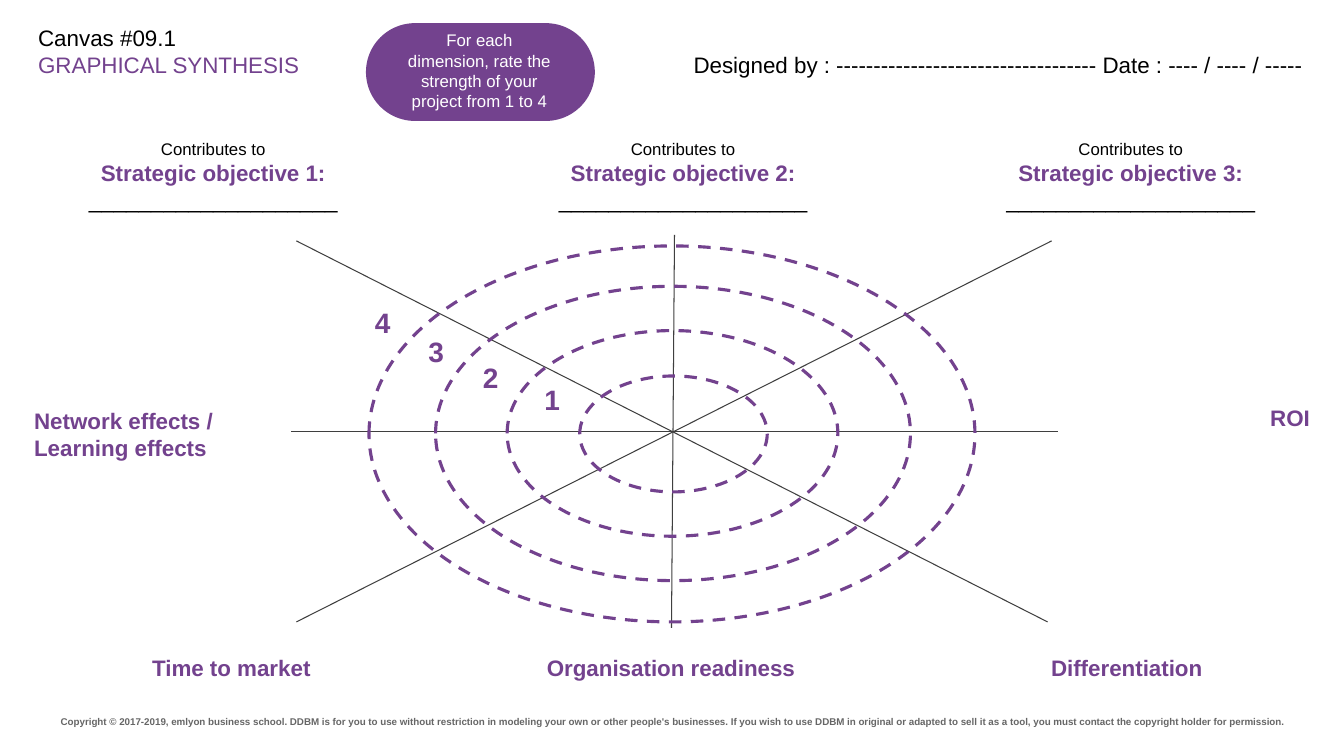
from dataclasses import dataclass

from lxml import etree
from pptx import Presentation, util as u
from pptx.dml.color import RGBColor
from pptx.enum import dml, shapes, text
from pptx.oxml.ns import qn

EMU_PER_PX = 9144  # 100 px to the inch


@dataclass(frozen=True)
class Theme:
    font: str = "Arial"
    purple: str = "73428E"
    black: str = "000000"
    white: str = "FFFFFF"
    spoke: str = "3F3F3F"
    grey: str = "666666"
    label: int = 16
    note: int = 12
    score: int = 20
    legal: int = 7
    spoke_width: float = 0.75
    ring_width: float = 2.25


def px(n):
    return u.Emu(n * EMU_PER_PX)


def rgb(color):
    return RGBColor.from_string(color)


class Canvas:
    def __init__(self, prs, theme):
        self.theme = theme
        self.s = prs.slides.add_slide(prs.slide_layouts[6])

    def text(self, box, lines, align="LEFT", pad=5, spacing=None, after=None):
        """Each line is (wording, size, colour, bold) and makes one paragraph."""
        tf = self.s.shapes.add_textbox(*map(px, box)).text_frame
        tf.word_wrap = True
        tf.margin_left = tf.margin_right = px(10)
        tf.margin_top = tf.margin_bottom = px(pad)
        for i, (wording, size, color, bold) in enumerate(lines):
            p = tf.add_paragraph() if i else tf.paragraphs[0]
            p.alignment = text.PP_ALIGN[align]
            if spacing:
                p.line_spacing = spacing
            if after:
                p.space_after = u.Pt(after)
            r = p.add_run()
            r.text = wording
            r.font.name = self.theme.font
            r.font.size = u.Pt(size)
            r.font.bold = bold
            r.font.color.rgb = rgb(color)

    def label(self, box, *wordings, align="CENTER", size=None):
        t = self.theme
        self.text(box, [(w, size or t.label, t.purple, True) for w in wordings], align)

    def pill(self, box):
        sp = self.s.shapes.add_shape(shapes.MSO_SHAPE.ROUNDED_RECTANGLE, *map(px, box))
        sp.shadow.inherit = False
        sp.adjustments[0] = 0.5
        sp.fill.solid()
        sp.fill.fore_color.rgb = rgb(self.theme.purple)
        sp.line.fill.background()

    def ring(self, box):
        sp = self.s.shapes.add_shape(shapes.MSO_SHAPE.OVAL, *map(px, box))
        sp.shadow.inherit = False
        sp.fill.background()
        sp.line.color.rgb = rgb(self.theme.purple)
        sp.line.width = u.Pt(self.theme.ring_width)
        sp.line.dash_style = dml.MSO_LINE.DASH

    def spoke(self, ends):
        line = self.s.shapes.add_connector(
            shapes.MSO_CONNECTOR.STRAIGHT, *map(px, ends))
        line.line.color.rgb = rgb(self.theme.spoke)
        line.line.width = u.Pt(self.theme.spoke_width)
        etree.SubElement(line._element.spPr, qn("a:effectLst"))


def main():
    prs = Presentation()
    prs.slide_width, prs.slide_height = px(1333), px(750)
    t = Theme()
    c = Canvas(prs, t)

    c.text((31, 710, 1272, 40), [(
        "Copyright © 2017-2019, emlyon business school. DDBM is for you to use "
        "without restriction in modeling your own or other people's businesses. "
        "If you wish to use DDBM in original or adapted to sell it as a tool, "
        "you must contact the copyright holder for permission.",
        t.legal, t.grey, True)], "CENTER", pad=0)
    c.text((28, 14, 639, 44), [
        ("Canvas #09.1", t.label, t.black, False),
        ("GRAPHICAL SYNTHESIS", t.label, t.purple, False)], pad=10)
    c.text((678, 14, 639, 44), [(
        "Designed by : " + "-" * 35 + " Date : ---- / ---- / -----",
        t.label, t.black, False)], pad=10, spacing=2.0, after=6)

    c.pill((363, 23, 227, 97))
    c.text((391, 25, 169, 91), [(
        "For each dimension, rate the strength of your project from 1 to 4",
        t.note, t.white, False)], "CENTER")

    for ends in ((294, 239, 1039, 617), (294, 617, 1043, 239),
                 (669, 233, 666, 623), (289, 428, 1049, 428)):
        c.spoke(ends)

    for number, left in enumerate((24, 490, 934), 1):
        c.text((left, 133, 375, 84), [
            ("Contributes to", t.note, t.black, False),
            (f"Strategic objective {number}:", t.label, t.purple, True),
            ("_" * 20, t.label, t.black, False)], "CENTER")

    c.label((24, 399, 375, 64), "Network effects /", "Learning effects", align="LEFT")
    c.label((934, 396, 375, 64), "ROI", align="RIGHT")
    for left, dimension in ((42, "Time to market"), (478, "Organisation readiness"),
                            (930, "Differentiation")):
        c.label((left, 644, 375, 37), dimension)

    for box in ((575, 373, 186, 115), (503, 328, 328, 204),
                (432, 284, 471, 292), (366, 244, 601, 373)):
        c.ring(box)
    for score, (left, top) in enumerate(
            ((530, 375), (469, 353), (415, 327), (362, 298)), 1):
        c.label((left, top, 35, 44), str(score), size=t.score)

    prs.save("out.pptx")


if __name__ == "__main__":
    main()
